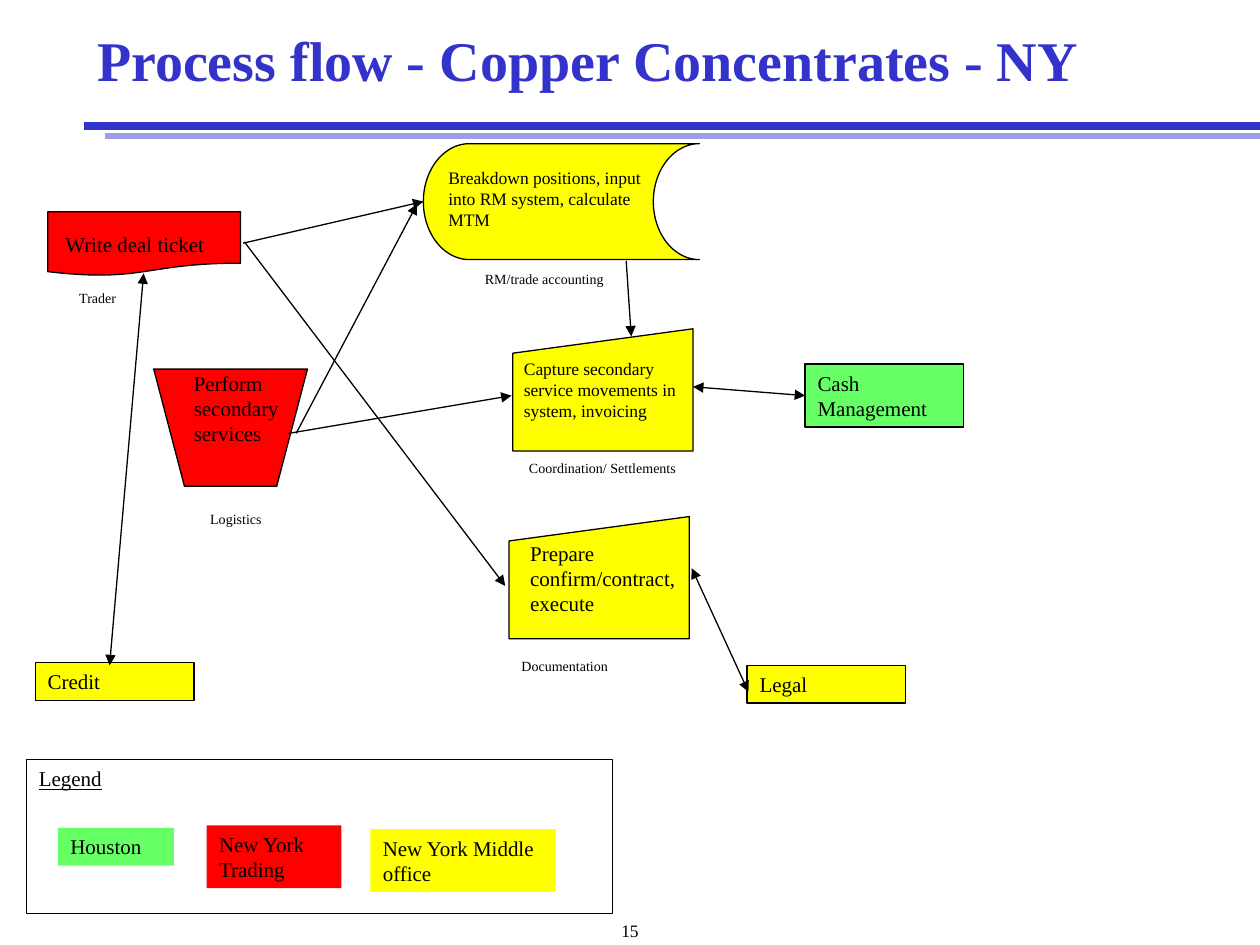
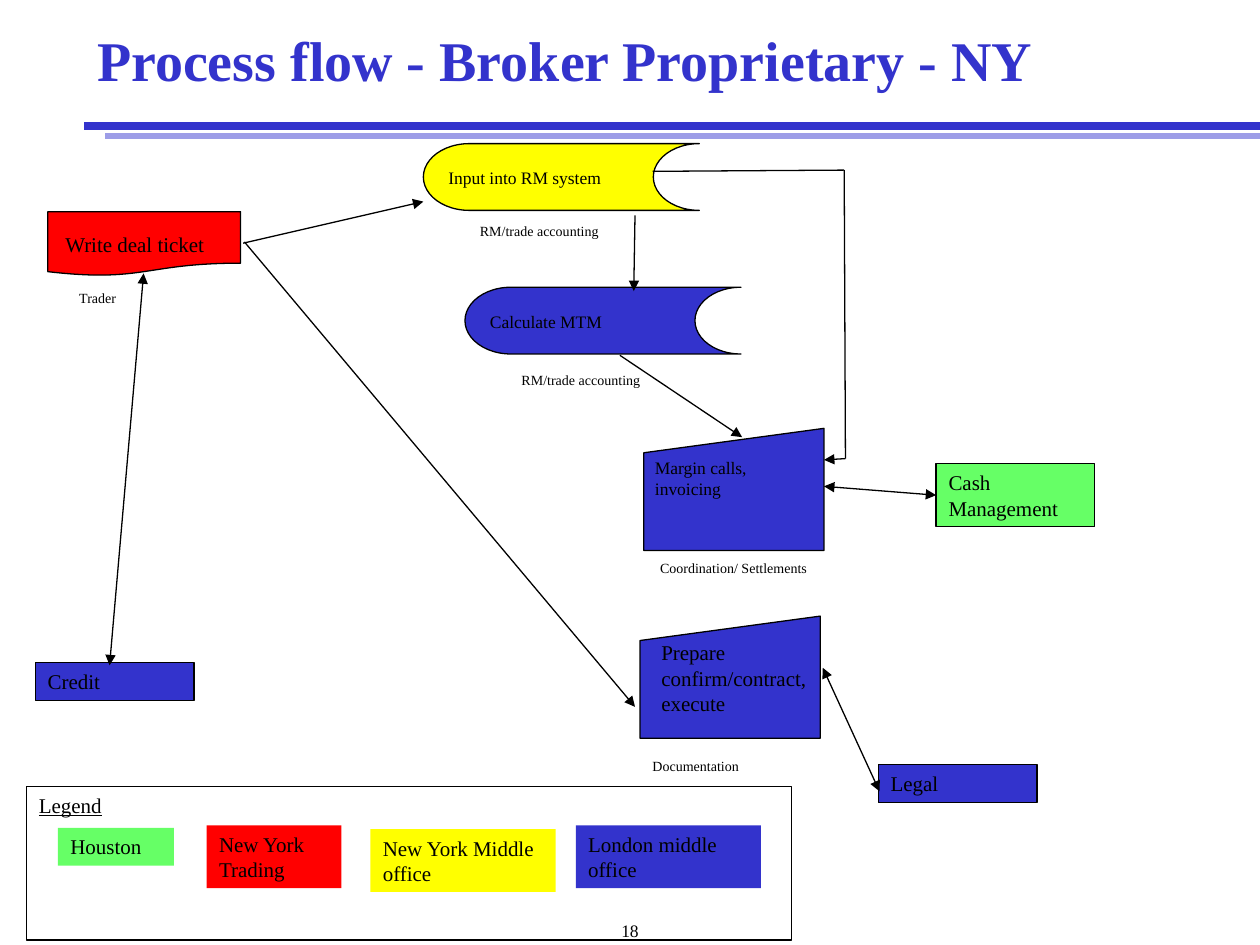
from lxml import etree
from pptx import Presentation
from pptx.dml.color import RGBColor
from pptx.enum.shapes import MSO_CONNECTOR, MSO_SHAPE
from pptx.enum.text import MSO_ANCHOR, MSO_AUTO_SIZE, PP_ALIGN
from pptx.oxml.ns import qn
from pptx.util import Inches, Pt

FONT = "Times New Roman"
BLACK = RGBColor(0x00, 0x00, 0x00)
BLUE = RGBColor(0x33, 0x33, 0xCC)
PALE_BLUE = RGBColor(0x9D, 0x9D, 0xE7)
GREEN = RGBColor(0x66, 0xFF, 0x66)
RED = RGBColor(0xFF, 0x00, 0x00)
YELLOW = RGBColor(0xFF, 0xFF, 0x00)

STRAIGHT = MSO_CONNECTOR.STRAIGHT
RECT = MSO_SHAPE.RECTANGLE
DOCUMENT = MSO_SHAPE.FLOWCHART_DOCUMENT
MANUAL_OPERATION = MSO_SHAPE.FLOWCHART_MANUAL_OPERATION
MANUAL_INPUT = MSO_SHAPE.FLOWCHART_MANUAL_INPUT
STORAGE = MSO_SHAPE.FLOWCHART_STORED_DATA
TOP, MIDDLE = MSO_ANCHOR.TOP, MSO_ANCHOR.MIDDLE
LEFT, CENTER = PP_ALIGN.LEFT, PP_ALIGN.CENTER
NO_AUTOSIZE = MSO_AUTO_SIZE.NONE
LEFT_SIDE = 1

TITLE_BOX = (0.67, 0, 9.08, 1)
TITLE_FORMAT = {"size": Pt(32), "bold": True}
FRAME_FORMAT = {
    "margin_left": Inches(0.1), "margin_right": Inches(0.1),
    "margin_top": Inches(0.05), "margin_bottom": Inches(0.05),
    "word_wrap": True, "auto_size": NO_AUTOSIZE,
}
BANDS = [(0.67, 1, BLUE, 4.5), (0.83, 1.08, PALE_BLUE, 3)]
LEGEND_ITEMS = [
    ("Houston", GREEN, (0.46, 6.57, 0.92, 0.3)),
    ("New York Trading", RED, (1.64, 6.55, 1.07, 0.5)),
    ("New York Middle office", YELLOW, (2.94, 6.58, 1.47, 0.5)),
    ("London middle office", BLUE, (4.57, 6.55, 1.47, 0.5)),
]


def set_values(target, values):
    for name, value in values.items():
        setattr(target, name, value)


def inches(values):
    return [Inches(v) for v in values]


class FlowDeck:
    """Holds the presentation, its style and the slide being drawn."""

    def __init__(self):
        self.prs = Presentation()
        self.prs.slide_width, self.prs.slide_height = Inches(10), Inches(7.5)
        self.layout = self.prs.slide_layouts[5]
        names = ("left", "top", "width", "height")
        set_values(self.layout.placeholders[0],
                   dict(zip(names, inches(TITLE_BOX))))
        self.s = None

    def new_slide(self, title, number):
        self.s = self.prs.slides.add_slide(self.layout)
        for start, y, color, width in BANDS:
            self.line((10, y), (start, y), color=color, width=width)
        self.fill_text(self.s.shapes.title, title, color=BLUE, anchor=MIDDLE,
                       spacing=0.9, **TITLE_FORMAT)
        self.text((0, 7.25, 10, 0.17), number, 10, align=CENTER)

    def fill_text(self, sp, text, color=BLACK, anchor=TOP, align=LEFT,
                  spacing=1.0, **font):
        tf = sp.text_frame
        set_values(tf, {**FRAME_FORMAT, "vertical_anchor": anchor})
        p = tf.paragraphs[0]
        set_values(p, {"alignment": align, "line_spacing": spacing})
        r = p.add_run()
        r.text = text
        set_values(r.font, {"name": FONT, **font})
        r.font.color.rgb = color

    def text(self, box, text, size=12, align=LEFT):
        sp = self.s.shapes.add_textbox(*inches(box))
        self.fill_text(sp, text, size=Pt(size), align=align)

    def caption(self, x, y, text, width=1.46):
        self.text((x, y, width, 0.24), text, 8)

    def shape(self, kind, box, fill=None, text=None, outlined=True, **font):
        sp = self.s.shapes.add_shape(kind, *inches(box))
        sp.shadow.inherit = False
        if fill is None:
            sp.fill.background()
        else:
            sp.fill.solid()
            sp.fill.fore_color.rgb = fill
        if outlined:
            sp.line.color.rgb = BLACK
            sp.line.width = Pt(0.75)
        else:
            sp.line.fill.background()
        if text:
            self.fill_text(sp, text, size=Pt(12), **font)
        return sp

    def line(self, start, end, heads=(), color=BLACK, width=0.75):
        """Draw a straight line; heads names the arrow ends, head or tail."""
        c = self.s.shapes.add_connector(STRAIGHT, *inches(start + end))
        c.line.color.rgb = color
        c.line.width = Pt(width)
        ln = c._element.spPr.find(qn("a:ln"))
        for head in heads:
            etree.SubElement(ln, qn(f"a:{head}End"), type="triangle")
        etree.SubElement(c._element.spPr, qn("a:effectLst"))
        return c

    def arrow(self, start, end):
        return self.line(start, end, ("tail",))

    def double_arrow(self, start, end):
        return self.line(start, end, ("head", "tail"))

    def storage(self, x, y, height, fill, text):
        sp = self.shape(STORAGE, (x, y, 2.19, height), fill)
        self.text((x + 0.1, y + 0.14, 1.85, height - 0.26), text, 10)
        return sp

    def legend(self, top, width, count):
        self.shape(RECT, (0.21, top, width, 1.22), text="Legend", underline=True)
        for label, color, box in LEGEND_ITEMS[:count]:
            self.shape(RECT, box, color, label, outlined=False)

    def deal_ticket(self, credit_color):
        self.shape(RECT, (0.28, 5.26, 1.26, 0.3), credit_color, "Credit")
        self.shape(DOCUMENT, (0.38, 1.68, 1.53, 0.51), RED)
        self.text((0.42, 1.79, 1.72, 0.3), "Write deal ticket")
        self.caption(0.53, 2.25, "Trader", 0.72)
        self.double_arrow((1.14, 2.17), (0.87, 5.28))

    def settlement(self, x, y, color, task):
        """Draw invoicing, contract, cash and legal steps from corner x, y."""
        self.shape(MANUAL_INPUT, (x + 0.03, y, 1.43, 0.97), color)
        self.text((x + 0.02, y + 0.18, 1.43, 0.6), task, 10)
        self.caption(x + 0.06, y + 0.99, "Coordination/ Settlements")
        self.shape(MANUAL_INPUT, (x, y + 1.49, 1.43, 0.97), color)
        self.text((x + 0.07, y + 1.63, 1.43, 0.7),
                  "Prepare confirm/contract, execute")
        self.caption(x, y + 2.56, "Documentation")
        cash = self.shape(RECT, (x + 2.35, y + 0.28, 1.26, 0.5), GREEN,
                          "Cash Management")
        self.shape(RECT, (x + 1.89, y + 2.67, 1.26, 0.3), color, "Legal")
        c = self.double_arrow((x + 1.46, y + 0.46), (x + 2.35, y + 0.53))
        c.end_connect(cash, LEFT_SIDE)
        self.double_arrow((x + 1.45, y + 1.9), (x + 1.9, y + 2.88))


def copper_concentrates(deck):
    deck.new_slide("Process flow - Copper Concentrates - NY", "15")
    deck.legend(6.03, 4.65, 3)
    deck.deal_ticket(YELLOW)
    deck.shape(MANUAL_OPERATION, (1.22, 2.93, 1.22, 0.93), RED)
    deck.text((1.44, 2.89, 0.9, 0.7), "Perform secondary services")
    deck.caption(1.57, 4, "Logistics", 0.74)
    positions = deck.storage(
        3.36, 1.14, 0.92, YELLOW,
        "Breakdown positions, input into RM system, calculate MTM")
    deck.caption(3.75, 2.1, "RM/trade accounting")
    deck.settlement(4.04, 2.61, YELLOW,
                    "Capture secondary service movements in system, invoicing")
    c = deck.arrow((1.93, 1.93), (3.36, 1.6))
    c.end_connect(positions, LEFT_SIDE)
    for start, end in [((2.35, 3.44), (3.31, 1.62)),
                       ((2.29, 3.44), (4.06, 3.14)),
                       ((1.94, 1.92), (4.01, 4.65)),
                       ((4.97, 2.07), (5.01, 2.67))]:
        deck.arrow(start, end)


def broker_proprietary(deck):
    deck.new_slide("Process flow - Broker Proprietary - NY", "18")
    deck.legend(6.24, 6.07, 4)
    deck.deal_ticket(BLUE)
    deck.storage(3.36, 1.14, 0.53, YELLOW, "Input into RM system")
    deck.caption(3.71, 1.72, "RM/trade accounting")
    deck.storage(3.69, 2.28, 0.53, BLUE, "Calculate MTM")
    deck.caption(4.04, 2.9, "RM/trade accounting")
    deck.settlement(5.08, 3.4, BLUE, "Margin calls, invoicing")
    for start, end in [((1.93, 1.93), (3.36, 1.6)),
                       ((1.94, 1.92), (5.04, 5.61)),
                       ((5.04, 1.71), (5.03, 2.31)),
                       ((4.92, 2.82), (5.89, 3.47)),
                       ((6.71, 3.64), (6.54, 3.65))]:
        deck.arrow(start, end)
    deck.line((5.18, 1.36), (6.7, 1.35))
    deck.line((6.7, 1.35), (6.71, 3.64))


def main():
    deck = FlowDeck()
    copper_concentrates(deck)
    broker_proprietary(deck)
    deck.prs.save("out.pptx")


if __name__ == "__main__":
    main()
